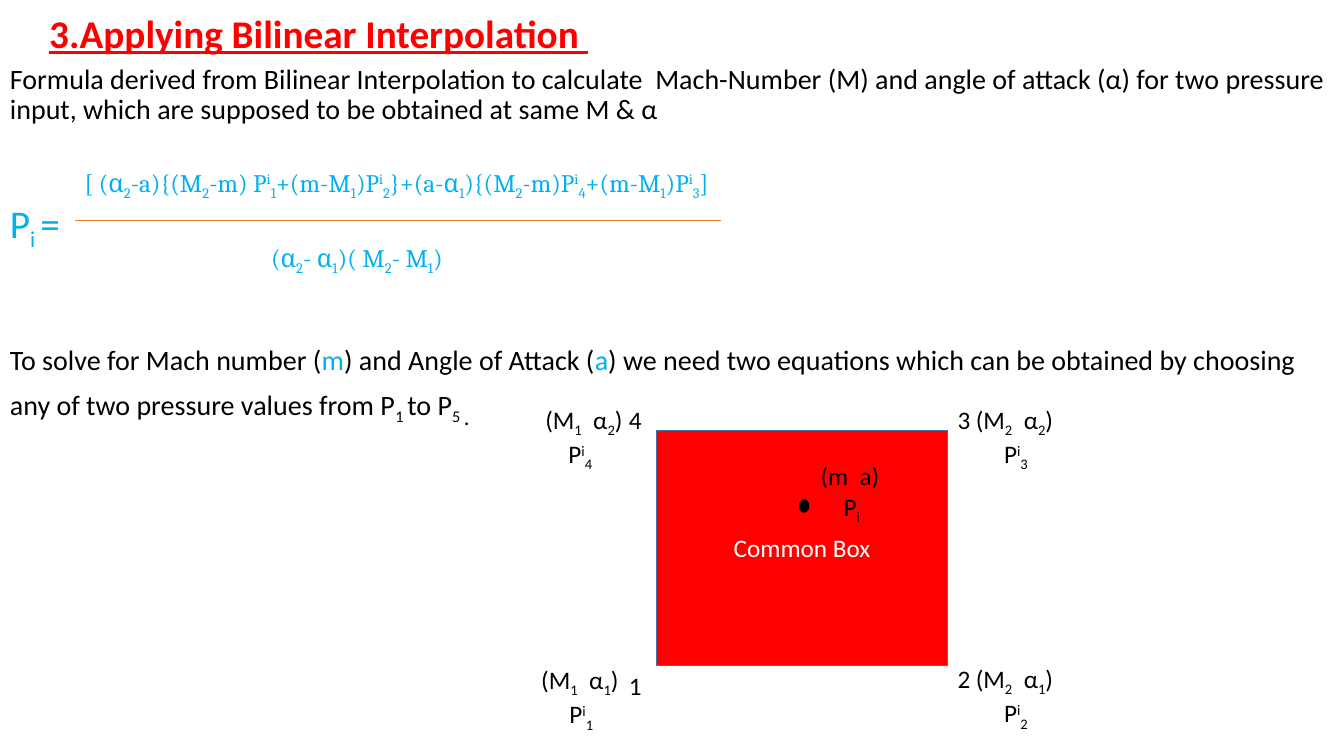
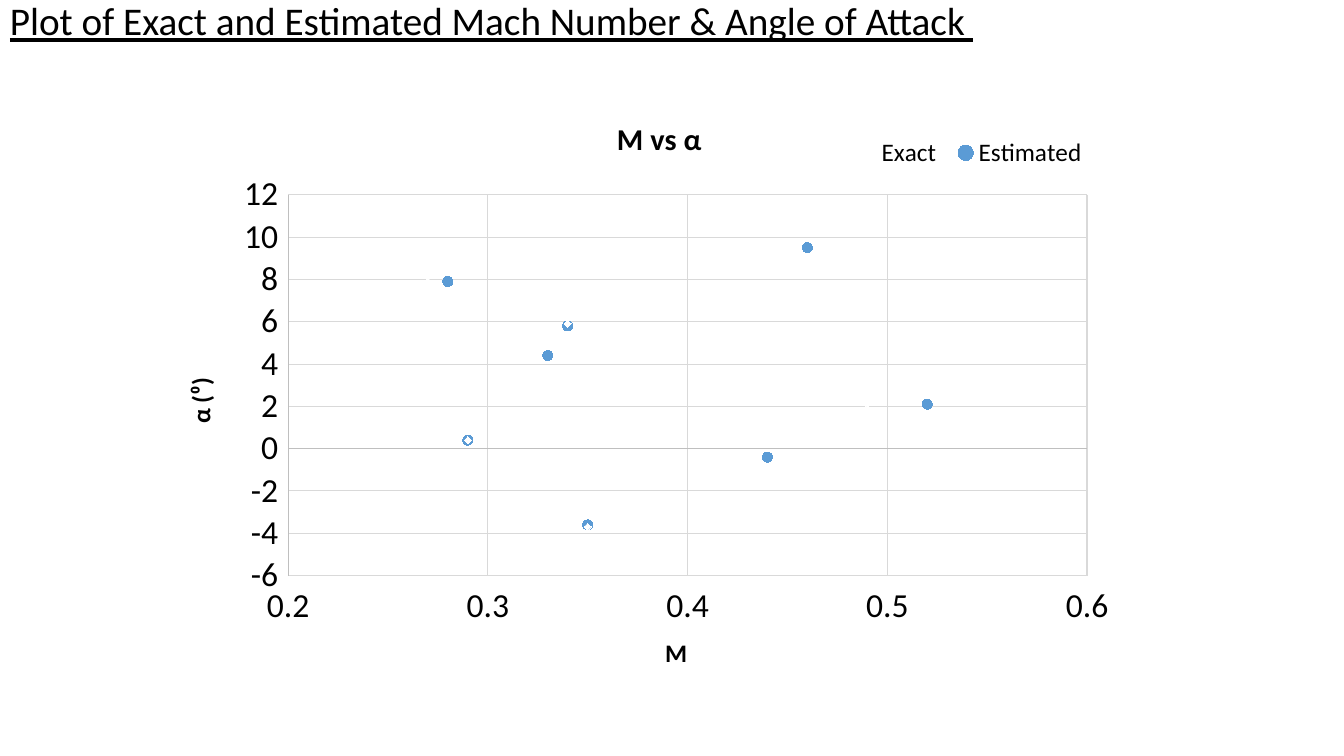
from lxml import etree
from pptx import Presentation
from pptx.chart.data import XyChartData
from pptx.dml.color import RGBColor
from pptx.enum.chart import (XL_CHART_TYPE, XL_LEGEND_POSITION, XL_MARKER_STYLE,
                             XL_TICK_LABEL_POSITION, XL_TICK_MARK)
from pptx.enum.shapes import MSO_CONNECTOR, MSO_SHAPE
from pptx.enum.text import MSO_ANCHOR, PP_ALIGN
from pptx.oxml.ns import qn
from pptx.util import Inches, Pt

SCATTER = XL_CHART_TYPE.XY_SCATTER
LEGEND_RIGHT = XL_LEGEND_POSITION.RIGHT
CIRCLE, DIAMOND = XL_MARKER_STYLE.CIRCLE, XL_MARKER_STYLE.DIAMOND
LABELS_LOW = XL_TICK_LABEL_POSITION.LOW
NO_TICK = XL_TICK_MARK.NONE
STRAIGHT = MSO_CONNECTOR.STRAIGHT
PROCESS, DOT = MSO_SHAPE.FLOWCHART_PROCESS, MSO_SHAPE.FLOWCHART_CONNECTOR
MIDDLE, CENTER = MSO_ANCHOR.MIDDLE, PP_ALIGN.CENTER

BLACK = RGBColor(0x00, 0x00, 0x00)
WHITE = RGBColor(0xFF, 0xFF, 0xFF)
RED = RGBColor(0xFF, 0x00, 0x00)
CYAN = RGBColor(0x00, 0xB0, 0xF0)
ORANGE = RGBColor(0xED, 0x7D, 0x31)
BLUE = RGBColor(0x5B, 0x9B, 0xD5)
BOX_EDGE = RGBColor(0x43, 0x73, 0x9E)
GRID = RGBColor(0xD9, 0xD9, 0xD9)
AXIS = RGBColor(0xBF, 0xBF, 0xBF)

BODY_FONT, MATH_FONT = "Calibri", "Cambria"
BASELINES = {"_": "-25000", "^": "30000"}


def add_text(page, at, lines, size=18, color=BLACK, font=BODY_FONT, spacing=1.0, indent=0):
    """Write lines; '|' splits spans, led by _ (subscript), ^ (superscript) or * (cyan).

    The indent applies to every line after the first.
    """
    box = page.shapes.add_textbox(*map(Inches, at))
    frame = box.text_frame
    frame.word_wrap = True
    for number, line in enumerate(lines):
        para = frame.add_paragraph() if number else frame.paragraphs[0]
        para.line_spacing = spacing
        para.font.size, para.font.name = Pt(size), font
        para.font.color.rgb = color
        if number and indent:
            para._p.get_or_add_pPr().set("marL", str(Inches(indent)))
        for piece in line.split("|"):
            mark = piece[:1]
            span = para.add_run()
            span.text = piece[1:] if mark in ("_", "^", "*") else piece
            if mark in BASELINES:
                span.font._element.set("baseline", BASELINES[mark])
            elif mark == "*":
                span.font.color.rgb = CYAN
    return frame


def set_layout(parent, position, **values):
    """Place a chart part by fractions of the chart area."""
    old = parent.find(qn("c:layout"))
    if old is not None:
        parent.remove(old)
    layout = etree.Element(qn("c:layout"))
    parent.insert(position, layout)
    manual = etree.SubElement(layout, qn("c:manualLayout"))
    for name, value in values.items():
        etree.SubElement(manual, qn("c:" + name)).set("val", str(value))


deck = Presentation()
deck.slide_width, deck.slide_height = Inches(13.33), Inches(7.5)
blank = deck.slide_layouts[6]

# Bilinear interpolation
page = deck.slides.add_slide(blank)
title = add_text(page, (0.39, 0.11, 11.5, 0.49), ["3.Applying Bilinear Interpolation "],
                 28, RED, spacing=0.9)
title.vertical_anchor = MIDDLE
title.paragraphs[0].font.bold = title.paragraphs[0].font.underline = True

add_text(page, (0, 0.6, 13.33, 0.75), [
    "Formula derived from Bilinear Interpolation to calculate  Mach-Number (M) and angle of "
    "attack (α) for two pressure input, which are supposed to be obtained at same M & α"],
    20, spacing=0.9)
add_text(page, (0, 1.93, 0.74, 0.55), ["P|_i |="], 28, CYAN, spacing=0.9)
solve = add_text(page, (0, 3.39, 13.33, 1), [
    "To solve for Mach number (|*m|) and Angle of Attack (|*a|) we need two equations which can "
    "be obtained by choosing any of two pressure values from P|_1 |to P|_5 |_."],
    20, spacing=0.9)
solve.paragraphs[0].runs[-1].font.size = Pt(28)

add_text(page, (0.74, 1.61, 7.04, 0.4), [
    "[ (α|_2|-a){(M|_2|-m) P|^i|_1|+(m-M|_1|)P|^i|_2|}+(a-α|_1|){(M|_2|-m)P|^i|_4|"
    "+(m-M|_1|)P|^i|_3|]"], color=CYAN, font=MATH_FONT)
add_text(page, (2.59, 2.35, 2.28, 0.4), ["(α|_2|- α|_1|)( M|_2|- M|_1|)"],
         color=CYAN, font=MATH_FONT)
fraction_bar = page.shapes.add_connector(STRAIGHT, Inches(0.74), Inches(2.19),
                                         Inches(7.15), Inches(2.19))
fraction_bar.line.color.rgb, fraction_bar.line.width = ORANGE, Pt(0.5)
etree.SubElement(fraction_bar._element.spPr, qn("a:effectLst"))

for kind, at, fill, edge in (
    (PROCESS, (6.51, 4.27, 2.89, 2.33), RED, BOX_EDGE),
    (DOT, (7.93, 4.96, 0.09, 0.12), BLACK, BLACK),
):
    shape = page.shapes.add_shape(kind, *map(Inches, at))
    shape.shadow.inherit = False
    shape.fill.solid()
    shape.fill.fore_color.rgb = fill
    shape.line.color.rgb, shape.line.width = edge, Pt(1)
    if kind == PROCESS:
        shape.text_frame.vertical_anchor = MIDDLE
        para = shape.text_frame.paragraphs[0]
        para.text, para.alignment = "Common Box", CENTER
        para.font.size, para.font.name = Pt(18), BODY_FONT
        para.font.color.rgb = WHITE

# corner number, its place, place of the label, indices of M and α, indent of P
for corner, number_at, label_at, mach, alpha, indent in (
    (1, (6.14, 6.6), (5.27, 6.54), 1, 1, 0.28),
    (2, (9.4, 6.53), (9.58, 6.53), 2, 1, 0.28),
    (3, (9.4, 3.96), (9.58, 3.96), 2, 2, 0.28),
    (4, (6.14, 3.96), (5.31, 3.96), 1, 2, 0.23),
):
    add_text(page, (*number_at, 0.36, 0.4), [str(corner)])
    add_text(page, (*label_at, 1.03, 0.71),
             [f"(M|_{mach}|  α|_{alpha}|)", f"P|^i|_{corner}"], indent=indent)
add_text(page, (8.04, 4.52, 1.03, 0.71), ["(m  a)", "P|_i"], indent=0.23)

# Exact and estimated values
page = deck.slides.add_slide(blank)
heading = add_text(page, (0, -0.03, 13.33, 0.55),
                   ["Plot of Exact and Estimated Mach Number & Angle of Attack "],
                   28, spacing=0.9)
heading.paragraphs[0].font.underline = True

points = {
    "Exact": ((0.34, 5.9), (0.46, 8.8), (0.27, 7.9), (0.29, 0.4),
              (0.35, -3.7), (0.35, 4.5), (0.46, -0.4), (0.49, 2.1)),
    "Estimated": ((0.34, 5.8), (0.46, 9.5), (0.28, 7.9), (0.29, 0.4),
                  (0.35, -3.6), (0.33, 4.4), (0.44, -0.4), (0.52, 2.1)),
}
data = XyChartData()
for name, pairs in points.items():
    series = data.add_series(name)
    for mach, alpha in pairs:
        series.add_data_point(mach, alpha)
chart = page.shapes.add_chart(SCATTER, *map(Inches, (1.63, 0.94, 9.82, 5.77)), data).chart
chart.font.size, chart.font.name = Pt(18), BODY_FONT
chart.font.color.rgb = BLACK
chart.plots[0].vary_by_categories = False

for series, style, size, color in zip(chart.plots[0].series, (DIAMOND, CIRCLE),
                                      (5, 7), (WHITE, BLUE)):
    series.smooth = False
    series.format.line.fill.background()
    series.marker.style, series.marker.size = style, size
    series.marker.format.fill.solid()
    series.marker.format.fill.fore_color.rgb = color
    series.marker.format.line.color.rgb = color

chart.has_title = True
for axis, low, high, step in ((chart.category_axis, 0.2, 0.6, 0.1),
                              (chart.value_axis, -6, 12, 2)):
    axis.minimum_scale, axis.maximum_scale, axis.major_unit = low, high, step
    axis.major_tick_mark = axis.minor_tick_mark = NO_TICK
    axis.tick_label_position = LABELS_LOW
    axis.tick_labels.font.size = Pt(24)
    axis.has_major_gridlines = True
    for line, color in ((axis.format.line, AXIS), (axis.major_gridlines.format.line, GRID)):
        line.color.rgb, line.width = color, Pt(0.75)

for owner, words, size in ((chart.chart_title, "M vs α", 21.6),
                           (chart.category_axis.axis_title, "M", 18),
                           (chart.value_axis.axis_title, "α (⁰)", 18)):
    para = owner.text_frame.paragraphs[0]
    para.text = words
    para.font.size, para.font.bold, para.font.name = Pt(size), True, BODY_FONT
    para.font.color.rgb = BLACK

chart.has_legend = True
chart.legend.position = LEGEND_RIGHT
chart.legend.include_in_layout = False
chart_area = chart.element.find(qn("c:chart"))
set_layout(chart_area.find(qn("c:plotArea")), 0, layoutTarget="inner", xMode="edge",
           yMode="edge", x=0.125, y=0.172, w=0.807, h=0.655)
set_layout(chart_area.find(qn("c:legend")), 1, xMode="edge", yMode="edge",
           x=0.69, y=0.07, w=0.25, h=0.06)

deck.save("out.pptx")
